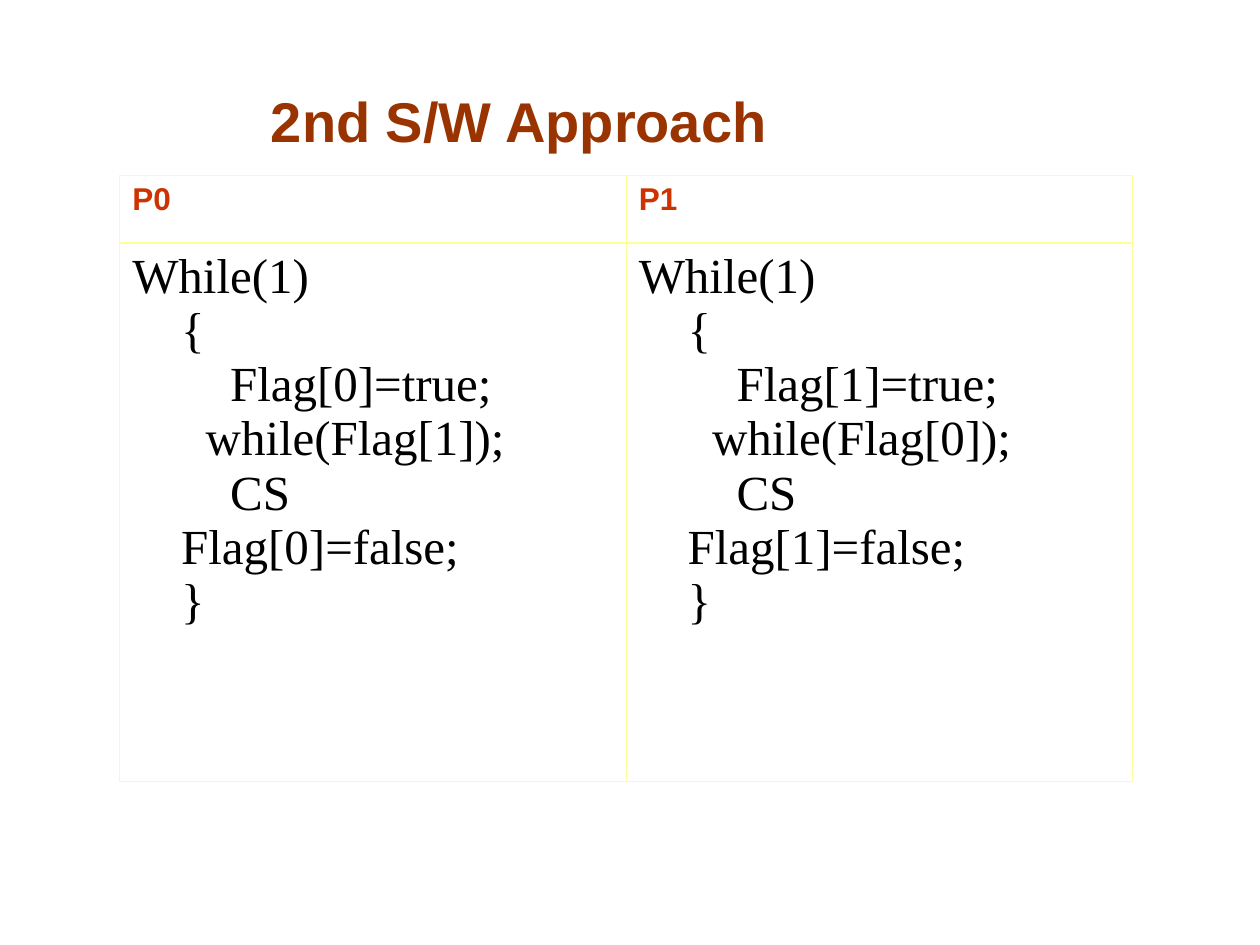
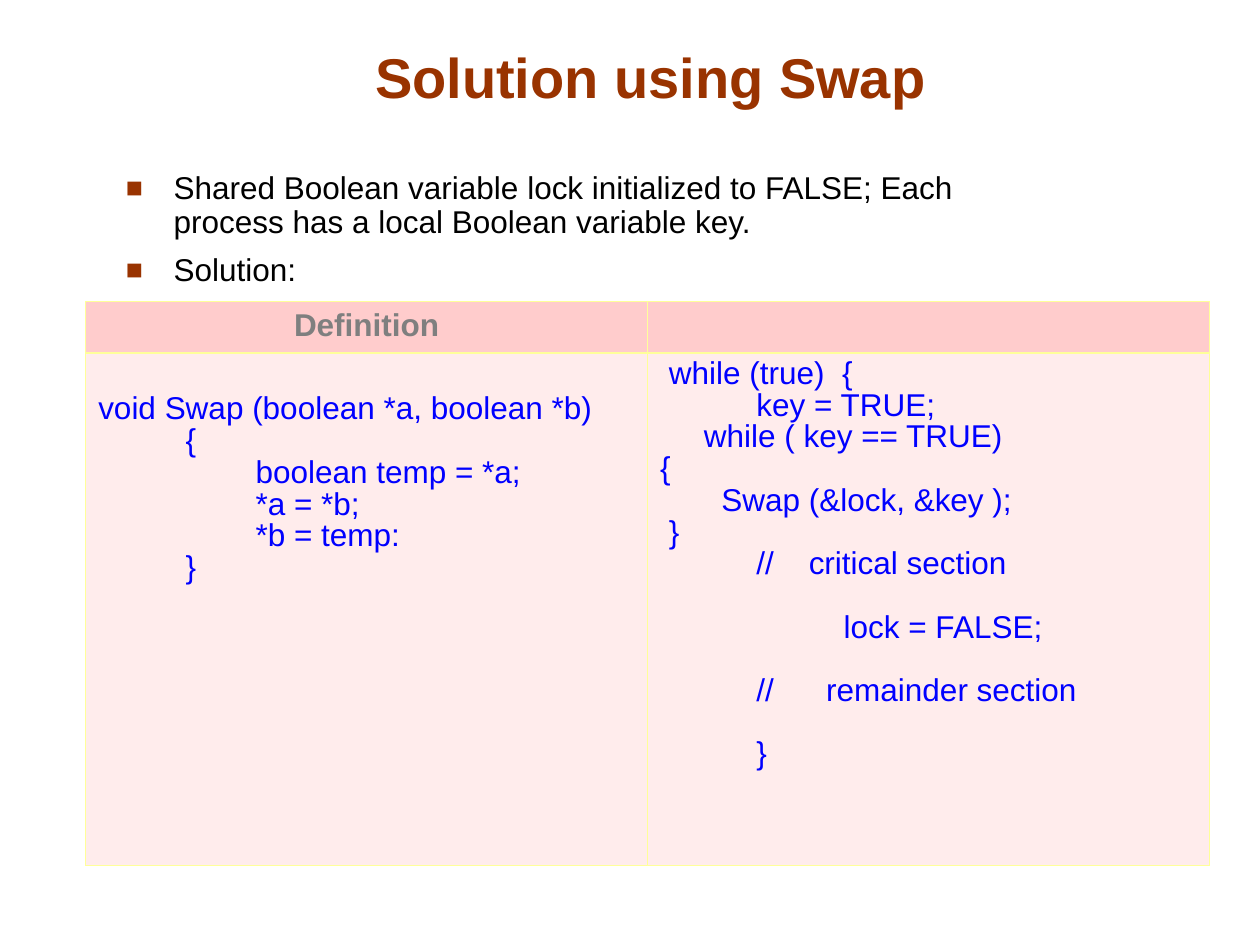
"""Build two slides on software solutions to the critical section problem."""
from dataclasses import dataclass

from lxml.etree import SubElement
from pptx import Presentation
from pptx.dml.color import RGBColor
from pptx.enum.text import MSO_ANCHOR, PP_ALIGN
from pptx.oxml.ns import qn
from pptx.util import Inches, Pt


@dataclass(frozen=True)
class Theme:
    """Colours, fonts and type sizes of the deck."""
    accent: str = "993300"
    process: str = "CC3300"
    heading: str = "7F7F7F"
    ink: str = "000000"
    code: str = "0000FF"
    border: str = "FFFF99"
    header_fill: str = "FFCCCC"
    body_fill: str = "FFECEC"
    sans: str = "Arial"
    serif: str = "Times New Roman"
    title_size: int = 32
    flag_size: int = 28
    text_size: int = 18
    thin: float = 0.45
    thick: float = 1.47
    tight: float = 0.9


THEME = Theme()

FLAG_CODE = """While(1)
    {{
        Flag[{own}]=true;
      while(Flag[{other}]);
        CS
    Flag[{own}]=false;
    }}"""

SWAP_CODE = """void Swap (boolean *a, boolean *b)
          {
                  boolean temp = *a;
                  *a = *b;
                  *b = temp:
          }"""

LOOP_CODE = """ while (true)  {
           key = TRUE;
     while ( key == TRUE)
{
       Swap (&lock, &key );
 }
           //    critical section

                     lock = FALSE;

           //      remainder section

           }"""


def style_paragraph(para, size, color, font=THEME.sans, bold=False):
    """Format every run of a paragraph."""
    for span in para.runs:
        span.font.size = Pt(size)
        span.font.name = font
        span.font.bold = bold
        span.font.color.rgb = RGBColor.from_string(color)


def add_text_box(page, left, top, width, height):
    """Add a wrapping text box and return its text frame."""
    box = page.shapes.add_textbox(
        Inches(left), Inches(top), Inches(width), Inches(height))
    box.text_frame.word_wrap = True
    return box.text_frame


def add_title(page, text, left, top, width):
    """Add the centred slide title."""
    frame = add_text_box(page, left, top, width, 0.67)
    frame.vertical_anchor = MSO_ANCHOR.BOTTOM
    frame.text = text
    para = frame.paragraphs[0]
    para.alignment = PP_ALIGN.CENTER
    style_paragraph(para, THEME.title_size, THEME.accent, bold=True)


def add_bullet(para):
    """Give a paragraph a hanging square bullet."""
    props = para._p.get_or_add_pPr()
    props.set("marL", str(Inches(0.38)))
    props.set("indent", str(-Inches(0.38)))
    color = SubElement(props, qn("a:buClr"))
    SubElement(color, qn("a:srgbClr"), val=THEME.accent)
    SubElement(props, qn("a:buSzPct"), val="90000")
    SubElement(props, qn("a:buFont"), typeface=THEME.sans)
    SubElement(props, qn("a:buChar"), char="■")


def add_bullets(page, items, left, top, width, height):
    """Add a bulleted list."""
    frame = add_text_box(page, left, top, width, height)
    frame.text = "\n".join(items)
    for index, para in enumerate(frame.paragraphs):
        add_bullet(para)
        para.line_spacing = THEME.tight
        if index:
            para.space_before = Pt(7.9)
        style_paragraph(para, THEME.text_size, THEME.ink)


def set_borders(cell, top, bottom):
    """Draw the four borders of a cell."""
    props = cell._tc.get_or_add_tcPr()
    widths = {"L": THEME.thin, "R": THEME.thin, "T": top, "B": bottom}
    for side, width in widths.items():
        line = SubElement(props, qn(f"a:ln{side}"), w=str(Pt(width)))
        fill = SubElement(line, qn("a:solidFill"))
        SubElement(fill, qn("a:srgbClr"), val=THEME.border)


def set_fill(cell, color):
    """Fill a cell, or leave it clear without a colour."""
    if color:
        cell.fill.solid()
        cell.fill.fore_color.rgb = RGBColor.from_string(color)
    else:
        cell.fill.background()


def add_table(page, left, top, column_width, row_heights, fills):
    """Add a two-column table with a header row and return it."""
    frame = page.shapes.add_table(
        2, 2, Inches(left), Inches(top),
        Inches(2 * column_width), Inches(sum(row_heights)))
    table = frame.table
    table.first_row = table.horz_banding = False
    for column in table.columns:
        column.width = Inches(column_width)
    edges = (THEME.thin, THEME.thick, THEME.thin)
    for index, (row, height) in enumerate(zip(table.rows, row_heights)):
        row.height = Inches(height)
        for cell in row.cells:
            set_borders(cell, edges[index], edges[index + 1])
            set_fill(cell, fills[index])
    return table


def write_header(cell, text, color, alignment=PP_ALIGN.LEFT):
    """Write a bold header cell."""
    cell.text_frame.text = text
    para = cell.text_frame.paragraphs[0]
    para.alignment = alignment
    style_paragraph(para, THEME.text_size, color, bold=True)


def write_code(cell, code, size, color, font=THEME.sans, spacing=1.0):
    """Write code lines, turning each empty line into space before the next."""
    lines = code.split("\n")
    cell.text_frame.text = "\n".join(line for line in lines if line)
    follows_gap = [not before for before, line in zip(["-"] + lines, lines) if line]
    for para, gap in zip(cell.text_frame.paragraphs, follows_gap):
        para.line_spacing = spacing
        if gap:
            para.space_before = Pt(size)
        style_paragraph(para, size, color, font)


def build_flag_slide(page):
    """Show the flag approach for both processes."""
    add_title(page, "2nd S/W Approach", -0.03, 0.6, 8.3)
    table = add_table(page, 0.95, 1.39, 4.02, (0.54, 4.27), (None, None))
    for own in range(2):
        write_header(table.cell(0, own), f"P{own}", THEME.process)
        write_code(table.cell(1, own), FLAG_CODE.format(own=own, other=1 - own),
                   THEME.flag_size, THEME.ink, THEME.serif)


def build_swap_slide(page):
    """Show the swap definition beside its use."""
    add_title(page, "Solution using Swap", 0.75, 0.25, 8.83)
    add_bullets(page, (
        "Shared Boolean variable lock initialized to FALSE; "
        "Each process has a local Boolean variable key.",
        "Solution:"), 0.9, 1.32, 7.51, 5.5)
    table = add_table(page, 0.68, 2.39, 4.46, (0.41, 4.07),
                      (THEME.header_fill, THEME.body_fill))
    write_header(table.cell(0, 0), "Definition", THEME.heading, PP_ALIGN.CENTER)
    for column, code in enumerate((SWAP_CODE, LOOP_CODE)):
        write_code(table.cell(1, column), code, THEME.text_size, THEME.code,
                   spacing=THEME.tight)
    table.cell(1, 0).margin_top = Inches(0.33)


def main():
    """Build and save the deck."""
    deck = Presentation()
    deck.slide_width, deck.slide_height = Inches(10), Inches(7.5)
    blank = deck.slide_layouts[6]
    for build in (build_flag_slide, build_swap_slide):
        build(deck.slides.add_slide(blank))
    deck.save("out.pptx")


if __name__ == "__main__":
    main()
